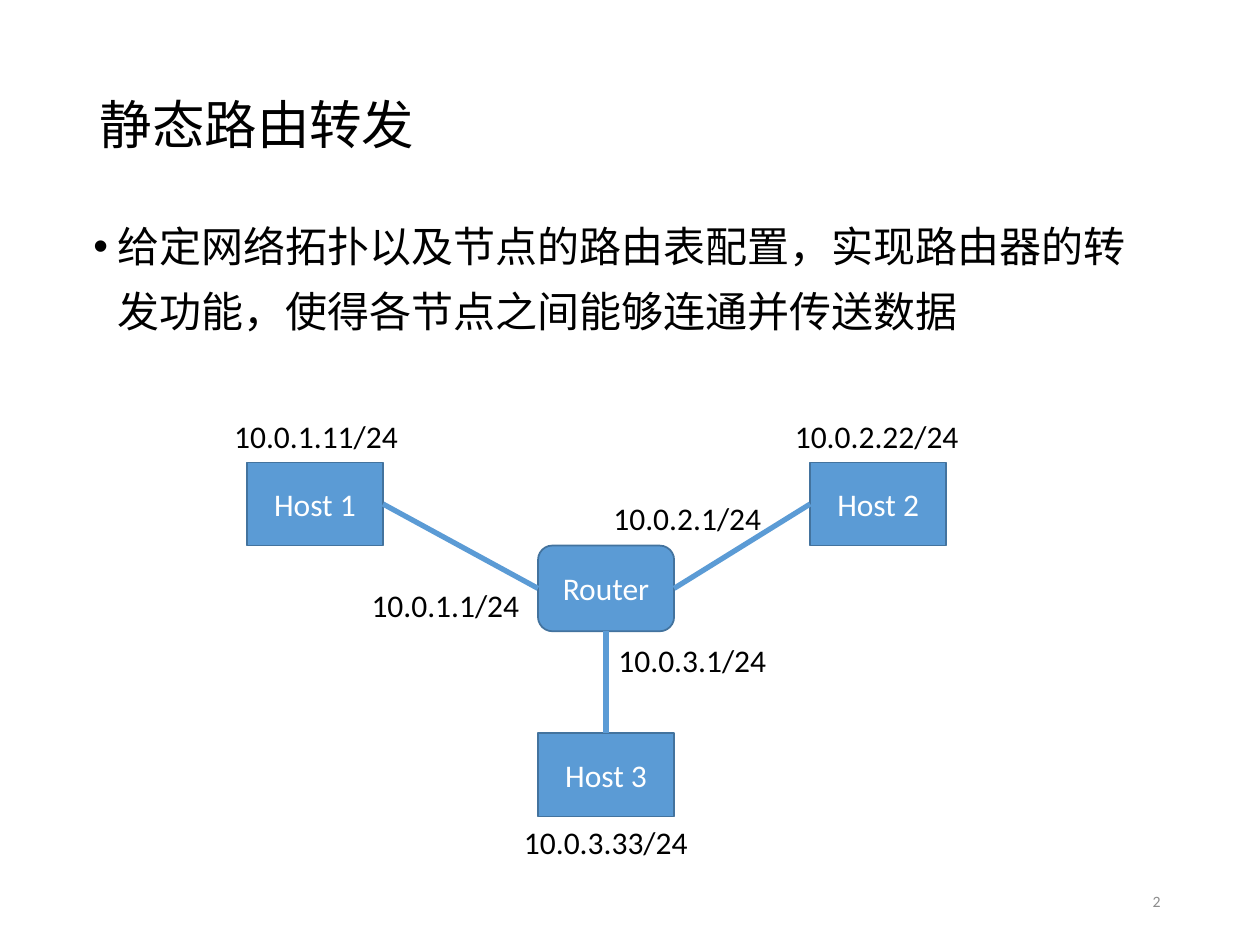
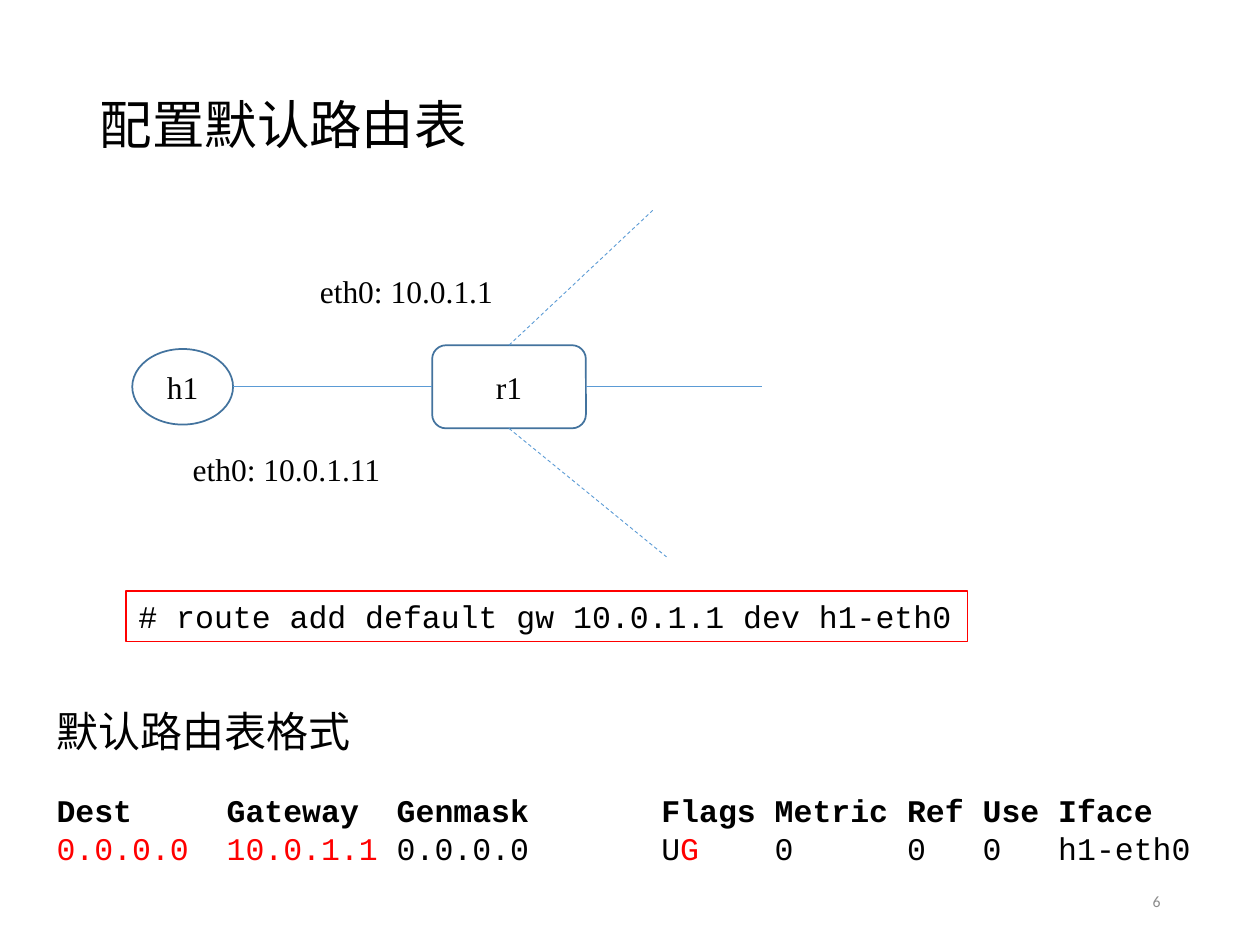
"""Build two slides on static routing and the default route table."""
from lxml import etree
from pptx import Presentation
from pptx.dml.color import RGBColor
from pptx.enum.dml import MSO_LINE
from pptx.enum.shapes import MSO_CONNECTOR, MSO_SHAPE
from pptx.enum.text import MSO_ANCHOR, MSO_AUTO_SIZE, PP_ALIGN
from pptx.oxml.ns import qn
from pptx.util import Inches, Pt

RECT, ROUND, OVAL = MSO_SHAPE.RECTANGLE, MSO_SHAPE.ROUNDED_RECTANGLE, MSO_SHAPE.OVAL
STRAIGHT, DASH = MSO_CONNECTOR.STRAIGHT, MSO_LINE.DASH
LEFT, MID, RIGHT = PP_ALIGN.LEFT, PP_ALIGN.CENTER, PP_ALIGN.RIGHT
TOP, CENTER = MSO_ANCHOR.TOP, MSO_ANCHOR.MIDDLE
GROW = MSO_AUTO_SIZE.SHAPE_TO_FIT_TEXT

BLACK, WHITE, RED, GREY = "000000", "FFFFFF", "FF0000", "8C8C8C"
BLUE, EDGE = "5B9BD5", "43739E"
SANS, SERIF, MONO, HAN = "Calibri", "Times New Roman", "Courier New", "Noto Sans CJK SC"

GOAL = "给定网络拓扑以及节点的路由表配置，实现路由器的转发功能，使得各节点之间能够连通并传送数据"
NODES = {
    "Host 1": (RECT, 1.96, 3.67, 1.08, 0.66),
    "Host 2": (RECT, 6.43, 3.67, 1.08, 0.66),
    "Host 3": (RECT, 4.27, 5.82, 1.08, 0.66),
    "Router": (ROUND, 4.27, 4.33, 1.08, 0.68),
}
LINKS = [
    ("Host 1", "right", "Router", "left"),
    ("Router", "right", "Host 2", "left"),
    ("Router", "bottom", "Host 3", "top"),
]
ADDRESSES = [
    ("10.0.1.11/24", 1.76, 3.26, 1.51),
    ("10.0.2.22/24", 6.21, 3.26, 1.51),
    ("10.0.3.33/24", 4.06, 6.48, 1.51),
    ("10.0.1.1/24", 2.85, 4.6, 1.39),
    ("10.0.2.1/24", 4.77, 3.91, 1.39),
    ("10.0.3.1/24", 4.81, 5.04, 1.39),
]

PAIR = {
    "r1": (ROUND, 3.43, 2.74, 1.22, 0.66),
    "h1": (OVAL, 1.05, 2.77, 0.8, 0.6),
}
PORTS = [("eth0: 10.0.1.11", 1.43, 3.52, 1.71), ("eth0: 10.0.1.1", 2.44, 2.11, 1.64)]
STUBS = [("top", (5.18, 1.67), DASH), ("right", (6.05, 3.07), None), ("bottom", (5.29, 4.42), DASH)]
COMMAND = "# route add default gw 10.0.1.1 dev h1-eth0"
HEADS = ["Dest", "Gateway", "Genmask", "Flags", "Metric", "Ref", "Use", "Iface"]
STOPS = [9, 18, 32, 38, 45, 49, 53]
CHAR = 0.15
ROUTE = [
    ("0.0.0.0\t10.0.1.1", RED),
    ("\t0.0.0.0\tU", BLACK),
    ("G", RED),
    ("\t0\t0\t0\th1-eth0", BLACK),
]


def rgb(code):
    return RGBColor.from_string(code)


def style(para, size=18, face=SANS, color=BLACK, align=LEFT, bold=False):
    font = para.font
    font.size, font.name, font.bold = Pt(size), face, bold
    font.color.rgb = rgb(color)
    para.alignment = align
    props = para._p.get_or_add_pPr().find(qn("a:defRPr"))
    etree.SubElement(props, qn("a:ea")).set("typeface", HAN)


def place(shape, *box):
    shape.left, shape.top, shape.width, shape.height = map(Inches, box)


def label(slide, text, x, y, w, h=0.4, wrap=False, anchor=TOP, **look):
    box = slide.shapes.add_textbox(*map(Inches, (x, y, w, h)))
    frame = box.text_frame
    frame.word_wrap, frame.vertical_anchor = wrap, anchor
    if not wrap:
        frame.auto_size = GROW
    frame.text = text
    style(frame.paragraphs[0], **look)
    return box


def node(slide, text, spot, fill, **look):
    kind, *box = spot
    shape = slide.shapes.add_shape(kind, *map(Inches, box))
    shape.shadow.inherit = False
    shape.fill.solid()
    shape.fill.fore_color.rgb = rgb(fill)
    shape.line.color.rgb = rgb(EDGE)
    shape.line.width = Pt(1)
    frame = shape.text_frame
    frame.text = text
    frame.vertical_anchor = CENTER
    style(frame.paragraphs[0], align=MID, **look)


def port(spot, side):
    _, x, y, w, h = spot
    return {
        "left": (x, y + h / 2),
        "right": (x + w, y + h / 2),
        "top": (x + w / 2, y),
        "bottom": (x + w / 2, y + h),
    }[side]


def link(slide, start, end, width, dash=None):
    line = slide.shapes.add_connector(STRAIGHT, *map(Inches, (*start, *end)))
    line.line.color.rgb = rgb(BLUE)
    line.line.width = Pt(width)
    if dash:
        line.line.dash_style = dash
    etree.SubElement(line._element.spPr, qn("a:effectLst"))


def page(deck, layout, title, number):
    slide = deck.slides.add_slide(deck.slide_layouts[layout])
    head = slide.shapes.title
    place(head, 0.69, 0.4, 8.62, 1.23)
    head.text_frame.text = title
    head.text_frame.vertical_anchor = CENTER
    para = head.text_frame.paragraphs[0]
    para.line_spacing = 0.9
    style(para, size=30)
    label(slide, number, 7.06, 6.95, 2.25, wrap=True, anchor=CENTER,
          size=9, color=GREY, align=RIGHT)
    return slide


def topology(deck):
    slide = page(deck, 1, "静态路由转发", "2")
    body = slide.placeholders[1]
    place(body, 0.64, 1.58, 8.62, 1.58)
    body.text_frame.text = GOAL
    para = body.text_frame.paragraphs[0]
    para.line_spacing, para.space_before = 1.3, Pt(7.5)
    style(para, size=24)
    props = para._p.get_or_add_pPr()
    props.set("marL", str(Inches(0.19)))
    props.set("indent", str(Inches(-0.19)))
    for name, spot in NODES.items():
        node(slide, name, spot, BLUE, color=WHITE)
    for first, out, last, into in LINKS:
        link(slide, port(NODES[first], out), port(NODES[last], into), 3)
    for address in ADDRESSES:
        label(slide, *address)


def routes(slide):
    box = label(slide, "默认路由表格式", 0.35, 5.55, 9.31, 1.41, wrap=True, size=24, face=HAN)
    frame = box.text_frame
    heads, row = frame.add_paragraph(), frame.add_paragraph()
    heads.text = "\t".join(HEADS)
    heads.space_before = Pt(20)
    for text, color in ROUTE:
        run = row.add_run()
        run.text = text
        run.font.color.rgb = rgb(color)
    for para in (heads, row):
        style(para, face=MONO, bold=para is heads)
        props = para._p.get_or_add_pPr()
        tabs = etree.Element(qn("a:tabLst"))
        props.find(qn("a:defRPr")).addprevious(tabs)
        for stop in STOPS:
            etree.SubElement(tabs, qn("a:tab"), pos=str(Inches(stop * CHAR)), algn="l")


def gateway(deck):
    slide = page(deck, 5, "配置默认路由表", "6")
    routes(slide)
    for name, spot in PAIR.items():
        node(slide, name, spot, WHITE, face=SERIF)
    link(slide, port(PAIR["h1"], "right"), port(PAIR["r1"], "left"), 0.5)
    for side, end, dash in STUBS:
        link(slide, port(PAIR["r1"], side), end, 0.5, dash)
    for text in PORTS:
        label(slide, *text, face=SERIF)
    box = label(slide, COMMAND, 1, 4.69, 6.68, face=MONO)
    box.line.color.rgb = rgb(RED)
    box.line.width = Pt(0.75)


deck = Presentation()
deck.slide_width, deck.slide_height = Inches(10), Inches(7.5)
topology(deck)
gateway(deck)
deck.save("out.pptx")
